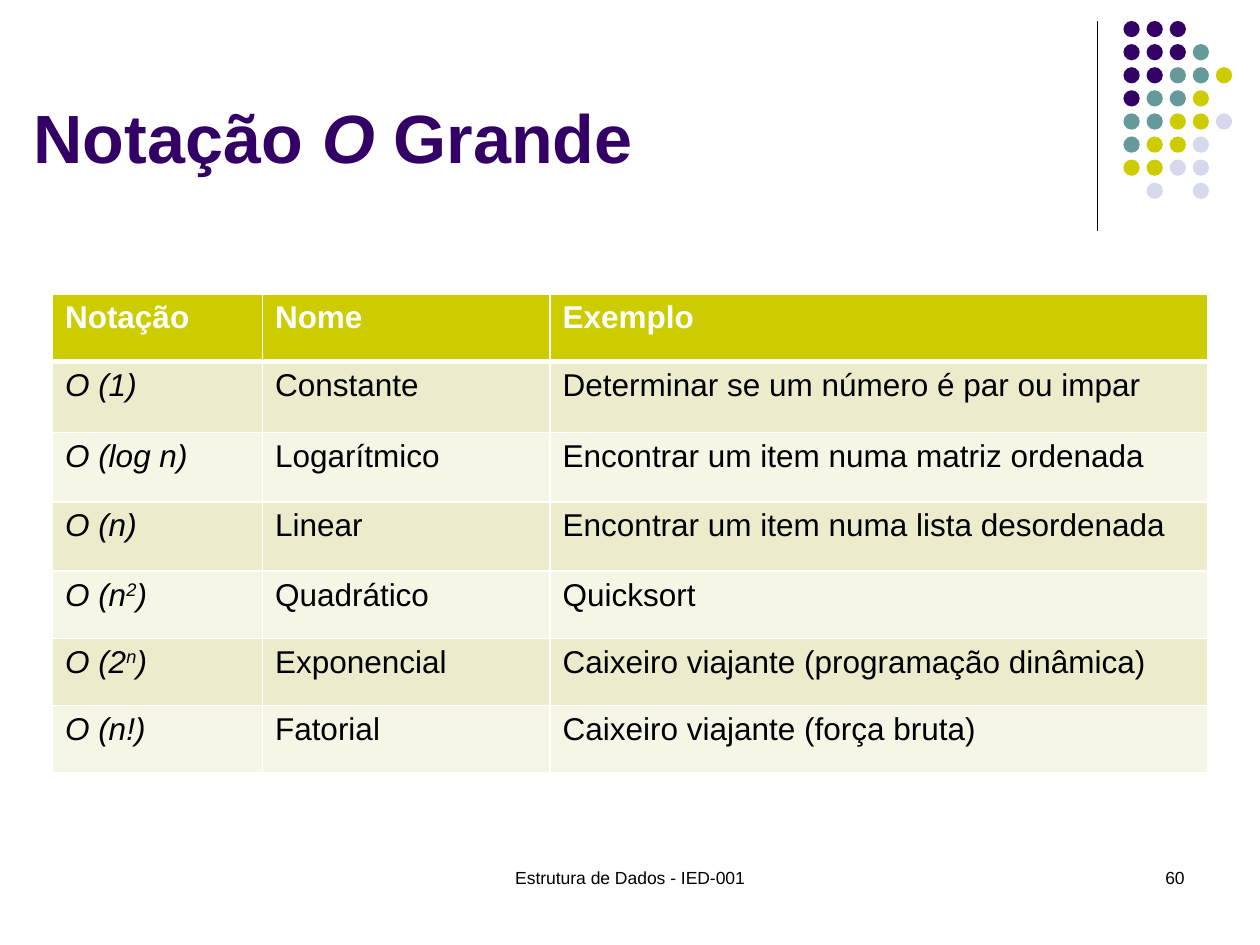
"""Builds the slide on big O notation: a dot motif, a title, a table and a footer."""
from typing import NamedTuple

from lxml.etree import SubElement
from pptx import Presentation
from pptx.dml.color import RGBColor
from pptx.enum.shapes import MSO_CONNECTOR, MSO_SHAPE
from pptx.enum.text import MSO_ANCHOR, MSO_AUTO_SIZE, PP_ALIGN
from pptx.oxml import parse_xml
from pptx.oxml.ns import nsdecls, qn
from pptx.util import Inches, Pt

UNIT = Inches(10) / 120
HUES = {
    "purple": "330066", "teal": "669999", "lime": "CCCC00", "mist": "D8D8EC",
    "sand": "ECECCC", "cream": "F6F6E7", "black": "000000", "white": "FFFFFF",
}
DOTS = ("PPP", "PPPT", "PPTTL", "PTTL", "TTLLM", "TLLM", "LLMM", " M M")
KEYS = {"P": "purple", "T": "teal", "L": "lime", "M": "mist"}
WIDTHS = (20, 27.4, 62.6)
HEIGHTS = (6.4, 6.8, 6.6, 6.6, 6.4, 6.4, 6.4)


class Box(NamedTuple):
    """A place on a grid of 120 columns and 90 rows."""
    left: float
    top: float
    width: float
    height: float

    def emu(self) -> list[int]:
        return [grid(n) for n in self]


class Order(NamedTuple):
    """A table row; bars set off raised text."""
    sign: str
    name: str
    sample: str


class Note(NamedTuple):
    """A line of text at the foot of the slide."""
    text: str
    box: Box
    align: PP_ALIGN


HEAD = Order("Notação", "Nome", "Exemplo")
ORDERS = (
    Order("O (1)", "Constante", "Determinar se um número é par ou impar"),
    Order("O (log n)", "Logarítmico", "Encontrar um item numa matriz ordenada"),
    Order("O (n)", "Linear", "Encontrar um item numa lista desordenada"),
    Order("O (n|2|)", "Quadrático", "Quicksort"),
    Order("O (2|n|)", "Exponencial", "Caixeiro viajante (programação dinâmica)"),
    Order("O (n!)", "Fatorial", "Caixeiro viajante (força bruta)"),
)
NOTES = (
    Note("Estrutura de Dados - IED-001", Box(41, 82, 38, 6), PP_ALIGN.CENTER),
    Note("60", Box(86, 82, 28, 6), PP_ALIGN.RIGHT),
)


def grid(n: float) -> int:
    """Turns grid units into a length."""
    return round(n * UNIT)


def tint(name: str) -> RGBColor:
    """Looks up a colour."""
    return RGBColor.from_string(HUES[name])


def write(frame, text: str, *, size: float, hue: str = "black", bold: bool = False,
          slant: bool = False, raised: bool = False, align=PP_ALIGN.LEFT) -> None:
    """Writes text; parts between bars are raised, or else slanted."""
    para = frame.paragraphs[0]
    para.alignment = align
    for i, part in enumerate(text.split("|")):
        run = para.add_run()
        run.text = part
        font = run.font
        font.name, font.size, font.bold = "Arial", Pt(size), bold
        font.color.rgb = tint(hue)
        marked = i % 2 == 1
        font.italic = slant or (marked and not raised)
        if marked and raised:
            font._element.set("baseline", "30000")


def edge(cell, **sides: float) -> None:
    """Draws white cell borders with the given widths."""
    props = cell._tc.get_or_add_tcPr()
    for i, (side, width) in enumerate(sides.items()):
        props.insert(i, parse_xml(
            f'<a:ln{side} {nsdecls("a")} w="{Pt(width)}"><a:solidFill>'
            f'<a:srgbClr val="{HUES["white"]}"/></a:solidFill></a:ln{side}>'))


def motif(slide) -> None:
    """Draws the upright line and the dots."""
    x = grid(104.5)
    line = slide.shapes.add_connector(MSO_CONNECTOR.STRAIGHT, x, grid(2), x, grid(22))
    line.line.color.rgb = tint("black")
    line.line.width = Pt(0.75)
    SubElement(line._element.spPr, qn("a:effectLst"))
    for row, marks in enumerate(DOTS):
        for col, mark in enumerate(marks):
            if mark in KEYS:
                box = Box(107 + 2.2 * col, 2 + 2.2 * row, 1.55, 1.55)
                dot = slide.shapes.add_shape(MSO_SHAPE.OVAL, *box.emu())
                dot.shadow.inherit = False
                dot.fill.solid()
                dot.fill.fore_color.rgb = tint(KEYS[mark])
                dot.line.fill.background()


def title(slide) -> None:
    """Fills the title placeholder."""
    shape = slide.shapes.title
    shape.left, shape.top, shape.width, shape.height = Box(2, 8.9, 99, 8.6).emu()
    frame = shape.text_frame
    frame.auto_size = MSO_AUTO_SIZE.NONE
    frame.vertical_anchor = MSO_ANCHOR.BOTTOM
    write(frame, "Notação |O| Grande", size=39, hue="purple", bold=True)


def table(slide) -> None:
    """Draws the table of orders."""
    box = Box(5, 28, sum(WIDTHS), sum(HEIGHTS))
    rows = (HEAD, *ORDERS)
    tab = slide.shapes.add_table(len(rows), len(WIDTHS), *box.emu()).table
    for col, width in zip(tab.columns, WIDTHS):
        col.width = grid(width)
    for r, (order, height) in enumerate(zip(rows, HEIGHTS)):
        tab.rows[r].height = grid(height)
        top = r == 0
        fill = "lime" if top else ("cream", "sand")[r % 2]
        for c, text in enumerate(order):
            cell = tab.cell(r, c)
            cell.fill.solid()
            cell.fill.fore_color.rgb = tint(fill)
            edge(cell, L=1, R=1, T=3 if r == 1 else 1, B=3 if top else 1)
            write(cell.text_frame, text, size=18, hue="white" if top else "black",
                  bold=top, slant=c == 0 and not top, raised=True)


def foot(slide, note: Note) -> None:
    """Adds a line of text at the foot."""
    frame = slide.shapes.add_textbox(*note.box.emu()).text_frame
    frame.word_wrap = True
    write(frame, note.text, size=10, align=note.align)


def main() -> None:
    """Builds and saves the slide."""
    deck = Presentation()
    deck.slide_width, deck.slide_height = grid(120), grid(90)
    slide = deck.slides.add_slide(deck.slide_layouts[5])
    motif(slide)
    title(slide)
    table(slide)
    for note in NOTES:
        foot(slide, note)
    deck.save("out.pptx")


if __name__ == "__main__":
    main()
